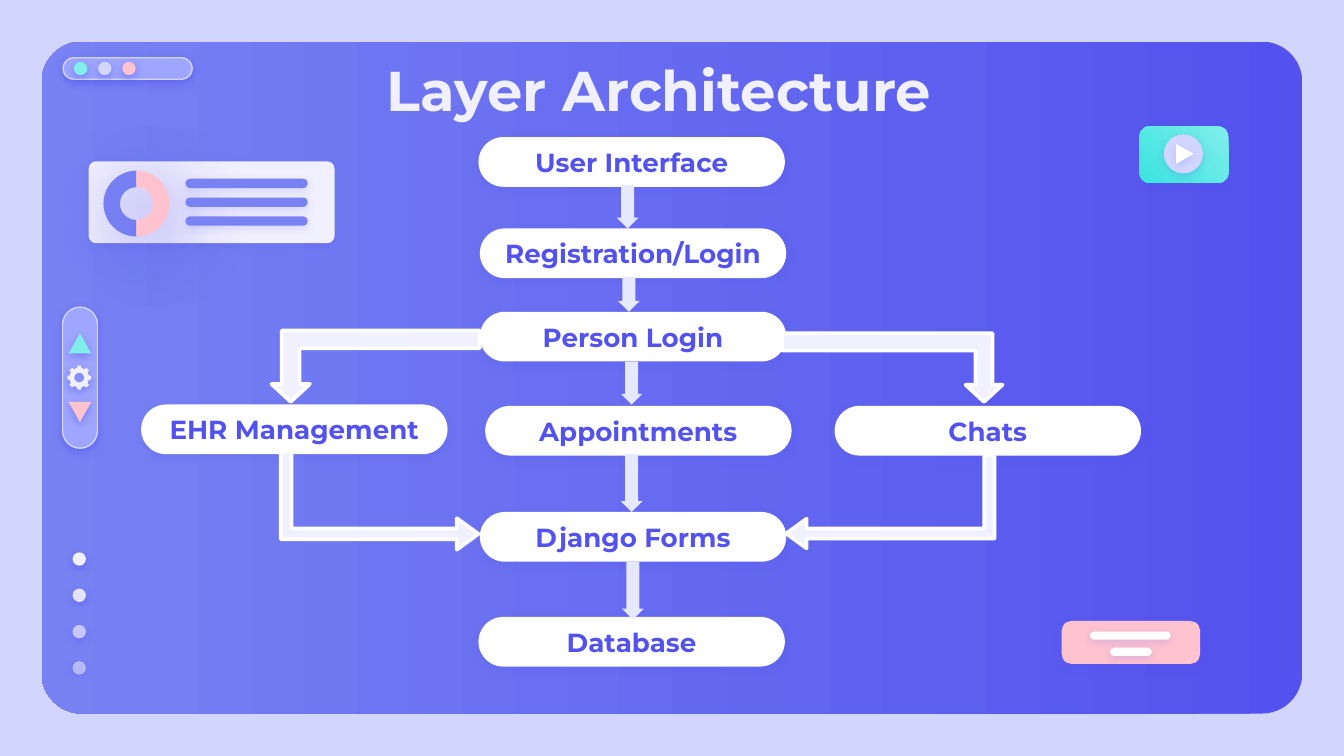
from math import cos, pi, sin

from lxml import etree
from pptx import Presentation
from pptx.dml.color import RGBColor
from pptx.enum.shapes import MSO_SHAPE
from pptx.enum.text import MSO_ANCHOR, MSO_AUTO_SIZE, PP_ALIGN
from pptx.oxml.ns import qn
from pptx.util import Inches, Pt

ROUND, OVAL, TRIANGLE = MSO_SHAPE.ROUNDED_RECTANGLE, MSO_SHAPE.OVAL, MSO_SHAPE.ISOSCELES_TRIANGLE
ARROW, BENT, ARC = MSO_SHAPE.DOWN_ARROW, MSO_SHAPE.BENT_UP_ARROW, MSO_SHAPE.BLOCK_ARC
CENTER, TOP, MIDDLE = PP_ALIGN.CENTER, MSO_ANCHOR.TOP, MSO_ANCHOR.MIDDLE
FONT = "Montserrat"

COLORS = {
    "backdrop": "D2D6FF", "indigo": "5352EE", "periwinkle": "7882F3",
    "lilac": "9EA6FF", "pale": "F1F0FF", "arrow": "E5E8FF", "white": "FFFFFF",
    "aqua": "81EEEB", "teal": "3AE4DF", "pink": "FFC3D0",
}

TITLE = "Layer Architecture"
NODE_SIZE = (2.28, 0.37)
NODES = [  # label, left, top
    ("User Interface", 3.56, 1.02),
    ("Registration/Login", 3.57, 1.7),
    ("Person Login", 3.57, 2.32),
    ("EHR Management", 1.05, 3.01),
    ("Appointments", 3.61, 3.02),
    ("Chats", 6.21, 3.02),
    ("Django Forms", 3.57, 3.81),
    ("Database", 3.56, 4.59),
]
DOWN_ARROWS = [  # centre, top, length
    (4.67, 1.38, 0.32), (4.68, 2.06, 0.26), (4.7, 2.69, 0.32),
    (4.7, 3.38, 0.43), (4.71, 4.18, 0.43),
]
SPLIT, MERGE = (0.25, 0.27, 0.25), (0.11, 0.16, 0.22)
BENT_ARROWS = [  # box, rotation, flip, adjustments
    ((5.82, 2.48, 1.64, 0.51), 180, "H", SPLIT),
    ((2.02, 2.46, 1.55, 0.53), 0, "HV", SPLIT),
    ((2.46, 2.99, 0.73, 1.47), 270, "HV", MERGE),
    ((6.28, 2.96, 0.69, 1.55), 90, "V", MERGE),
]
WINDOW_DOTS = ["aqua", "backdrop", "pink"]
PAGE_DOT_ALPHAS = [100, 90, 67, 54]
CARD_LINE_COUNT = 3
BADGE_LINES = [(8.11, 4.7, 0.6, 0.06), (8.26, 4.82, 0.31, 0.06)]

STRONG, SOFT, FAINT = (50, 4.5, 1.5, 90), (18, 4.5, 1.5, 90), (16, 4.5, 1.5, 90)
DEEP = (67, 38.2, 9, 49)


def rgb(name):
    return RGBColor.from_string(COLORS[name])


def add_alpha(color, percent):
    etree.SubElement(color, qn("a:alpha"), val=str(percent * 1000))


def paint(shape, fill, alpha=100, line=None, width=0.75, shadow=None, angle=0):
    """Fill is a colour name or a pair for a gradient; shadow is alpha, blur, distance, angle."""
    if isinstance(fill, tuple):
        shape.fill.gradient()
        shape.fill.gradient_angle = angle
        for stop, name in zip(shape.fill.gradient_stops, fill):
            stop.color.rgb = rgb(name)
    else:
        shape.fill.solid()
        shape.fill.fore_color.rgb = rgb(fill)
        if alpha < 100:
            add_alpha(shape.element.spPr.find(".//" + qn("a:srgbClr")), alpha)
    if line:
        shape.line.color.rgb = rgb(line)
        shape.line.width = Pt(width)
        etree.SubElement(shape.element.spPr.find(qn("a:ln")), qn("a:round"))
    else:
        shape.line.fill.background()
    shape.shadow.inherit = False
    if shadow:
        opacity, blur, distance, direction = shadow
        outer = etree.SubElement(
            shape.element.spPr.find(qn("a:effectLst")), qn("a:outerShdw"),
            blurRad=str(Pt(blur)), dist=str(Pt(distance)),
            dir=str(direction * 60000), algn="bl", rotWithShape="0")
        color = etree.SubElement(outer, qn("a:srgbClr"), val=COLORS["indigo"])
        add_alpha(color, opacity)


def add_part(slide, kind, box, fill, adjust=(), rotation=0, flip="", **style):
    shape = slide.shapes.add_shape(kind, *map(Inches, box))
    for index, value in enumerate(adjust):
        shape.adjustments[index] = value
    shape.rotation = rotation
    for axis in flip:
        shape.element.spPr.find(qn("a:xfrm")).set("flip" + axis, "1")
    paint(shape, fill, **style)
    return shape


def add_pill(slide, box, fill, **style):
    return add_part(slide, ROUND, box, fill, adjust=[0.5], **style)


def write(shape, text, size, color, anchor=MIDDLE):
    frame = shape.text_frame
    frame.word_wrap = True
    frame.auto_size = MSO_AUTO_SIZE.NONE
    frame.vertical_anchor = anchor
    frame.margin_left = frame.margin_right = Inches(0.1)
    frame.margin_top = frame.margin_bottom = Inches(0.1)
    paragraph = frame.paragraphs[0]
    paragraph.text = text
    paragraph.alignment = CENTER
    font = paragraph.font
    font.name, font.size, font.bold = FONT, Pt(size), True
    font.color.rgb = rgb(color)


def add_gear(slide, x, y, radius, teeth=8):
    def at(distance, turn):
        angle = 2 * pi * turn
        return Inches(x + distance * cos(angle)), Inches(y + distance * sin(angle))

    profile = [(0.82, -0.27), (1, -0.2), (1, 0.2), (0.82, 0.27)]
    rim = [at(radius * reach, (tooth + offset) / teeth)
           for tooth in range(teeth) for reach, offset in profile]
    hole = [at(radius * 0.4, -step / 32) for step in range(32)]
    builder = slide.shapes.build_freeform(*rim[0])
    builder.add_line_segments(rim[1:])
    builder.move_to(*hole[0])
    builder.add_line_segments(hole[1:])
    paint(builder.convert_to_shape(), "pale", shadow=STRONG)


def add_frame(slide):
    add_part(slide, ROUND, (0.31, 0.31, 9.38, 5), ("indigo", "periwinkle"),
             adjust=[0.06], angle=180)
    add_pill(slide, (0.47, 0.43, 0.96, 0.16), "lilac", line="backdrop", shadow=STRONG)
    for index, color in enumerate(WINDOW_DOTS):
        add_part(slide, OVAL, (0.55 + 0.18 * index, 0.46, 0.1, 0.1), color, shadow=STRONG)
    for index, alpha in enumerate(PAGE_DOT_ALPHAS):
        add_part(slide, OVAL, (0.54, 4.11 + 0.27 * index, 0.1, 0.1), "pale",
                 alpha=alpha, shadow=STRONG)


def add_toolbar(slide):
    add_pill(slide, (0.07, 2.68, 1.05, 0.26), "lilac", rotation=90,
             line="backdrop", shadow=STRONG)
    add_part(slide, TRIANGLE, (0.51, 2.48, 0.17, 0.15), "aqua", shadow=STRONG)
    add_part(slide, TRIANGLE, (0.51, 2.99, 0.17, 0.15), "pink", rotation=180, shadow=STRONG)
    add_gear(slide, 0.59, 2.81, 0.09)


def add_flow(slide):
    for label, left, top in NODES:
        node = add_pill(slide, (left, top, *NODE_SIZE), "white", shadow=SOFT)
        write(node, label, 14, "indigo")
    for center, top, length in DOWN_ARROWS:
        add_part(slide, ARROW, (center - 0.08, top, 0.16, length), "arrow", adjust=(0.6, 0.5))
    for box, rotation, flip, adjust in BENT_ARROWS:
        add_part(slide, BENT, box, "pale", adjust=adjust, rotation=rotation,
                 flip=flip, line="white", width=2)


def add_ornaments(slide):
    add_part(slide, ROUND, (0.66, 1.2, 1.83, 0.61), "pale", adjust=[0.09], shadow=SOFT)
    for color, rotation, flip in [("periwinkle", 270, ""), ("pink", 90, "H")]:
        add_part(slide, ARC, (0.77, 1.27, 0.49, 0.49), color, adjust=(108, 0, 0.25),
                 rotation=rotation, flip=flip, shadow=DEEP)
    for index in range(CARD_LINE_COUNT):
        add_pill(slide, (1.38, 1.33 + 0.14 * index, 0.91, 0.07), "periwinkle", shadow=FAINT)

    add_part(slide, ROUND, (8.48, 0.94, 0.66, 0.42), ("aqua", "teal"),
             adjust=[0.18], angle=225, shadow=SOFT)
    add_part(slide, OVAL, (8.66, 1, 0.29, 0.29), "backdrop", shadow=SOFT)
    add_part(slide, TRIANGLE, (8.74, 1.08, 0.15, 0.13), "white", rotation=90, shadow=SOFT)

    add_part(slide, ROUND, (7.9, 4.62, 1.03, 0.32), "pink", adjust=[0.23], shadow=FAINT)
    for box in BADGE_LINES:
        add_pill(slide, box, "white", shadow=SOFT)


def main():
    deck = Presentation()
    deck.slide_width = Inches(10)
    deck.slide_height = deck.slide_width * 9 // 16
    slide = deck.slides.add_slide(deck.slide_layouts[5])
    slide.background.fill.solid()
    slide.background.fill.fore_color.rgb = rgb("backdrop")
    add_frame(slide)
    title = slide.shapes.title
    title.left, title.top, title.width, title.height = map(Inches, (0.69, 0.31, 8.43, 0.63))
    write(title, TITLE, 30, "pale", anchor=TOP)
    title.element.getparent().append(title.element)  # bring in front of the panel
    add_flow(slide)
    add_toolbar(slide)
    add_ornaments(slide)
    deck.save("out.pptx")


if __name__ == "__main__":
    main()
